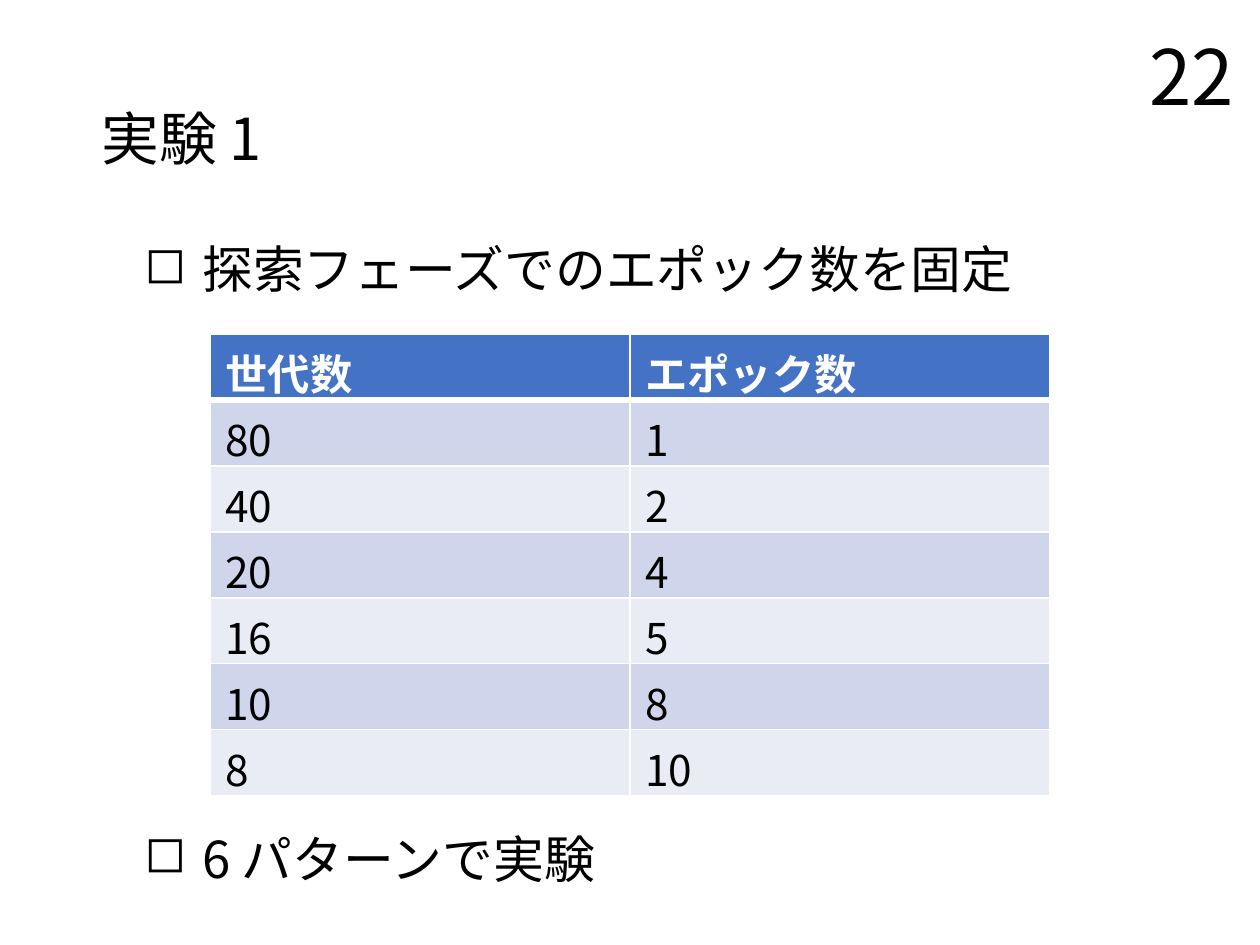
"""Build the slide on experiment 1: generations against epochs."""
from dataclasses import dataclass

from lxml.etree import SubElement
from pptx import Presentation
from pptx.dml.color import RGBColor
from pptx.enum.text import MSO_ANCHOR, PP_ALIGN
from pptx.oxml.ns import qn
from pptx.util import Inches, Pt


@dataclass(frozen=True)
class Theme:
    font: str = "Noto Sans CJK JP"
    black: str = "000000"
    white: str = "FFFFFF"
    header: str = "4472C4"
    bands: tuple = ("E9EBF5", "CFD5EA")
    title: float = 27.3
    number: float = 36
    body: float = 24
    table: float = 20


theme = Theme()


def set_text(tf, text, size, color=theme.black, bold=False):
    p = tf.paragraphs[0]
    r = p.add_run()
    r.text = text
    p.font.size = Pt(size)
    p.font.bold = bold
    p.font.name = theme.font
    p.font.color.rgb = RGBColor.from_string(color)
    r.font.size = Pt(size)
    r.font.bold = bold
    r.font.name = theme.font
    r.font.color.rgb = RGBColor.from_string(color)
    SubElement(r.font._element, qn("a:ea"), typeface=theme.font)
    return p


def add_text(s, box, text, size, anchor=MSO_ANCHOR.TOP):
    tf = s.shapes.add_textbox(*map(Inches, box)).text_frame
    tf.word_wrap = True
    tf.vertical_anchor = anchor
    return set_text(tf, text, size)


prs = Presentation()
prs.slide_width, prs.slide_height = Inches(8.27), Inches(6.2)
s = prs.slides.add_slide(prs.slide_layouts[6])

p = add_text(s, (0.57, 0.33, 7.13, 1.2), "実験 1", theme.title, MSO_ANCHOR.MIDDLE)
p.line_spacing = 0.9
p = add_text(s, (6.34, 0.33, 1.86, 0.33), "22", theme.number, MSO_ANCHOR.MIDDLE)
p.alignment = PP_ALIGN.RIGHT

bullets = [(1.51, "探索フェーズでのエポック数を固定"), (5.38, "6 パターンで実験")]
for top, text in bullets:
    p = add_text(s, (0.85, top, 6.2, 0.5), text, theme.body)
    pPr = p._p.get_or_add_pPr()
    pPr.set("marL", str(Inches(0.38)))
    pPr.set("indent", str(-Inches(0.38)))
    bullet = pPr.makeelement(qn("a:buChar"), {"char": "◻"})
    pPr.insert_element_before(bullet, "a:tabLst", "a:defRPr", "a:extLst")

rows = [("世代数", "エポック数"), (80, 1), (40, 2), (20, 4), (16, 5), (10, 8), (8, 10)]
frame = s.shapes.add_table(len(rows), 2, Inches(1.38), Inches(2.19), Inches(5.51), Inches(3.03))
table = frame.table
for i, values in enumerate(rows):
    is_header = i == 0
    fill = theme.header if is_header else theme.bands[i % 2]
    color = theme.white if is_header else theme.black
    for j, value in enumerate(values):
        cell = table.cell(i, j)
        cell.margin_bottom = 0
        set_text(cell.text_frame, str(value), theme.table, color, is_header)
        tcPr = cell._tc.get_or_add_tcPr()
        for side in ("lnL", "lnR", "lnT", "lnB"):
            thick = (i, side) in ((0, "lnB"), (1, "lnT"))
            ln = SubElement(tcPr, qn(f"a:{side}"), w=str(Pt(3 if thick else 1)))
            line_fill = SubElement(ln, qn("a:solidFill"))
            SubElement(line_fill, qn("a:srgbClr"), val=theme.white)
        cell.fill.solid()
        cell.fill.fore_color.rgb = RGBColor.from_string(fill)

prs.save("out.pptx")
